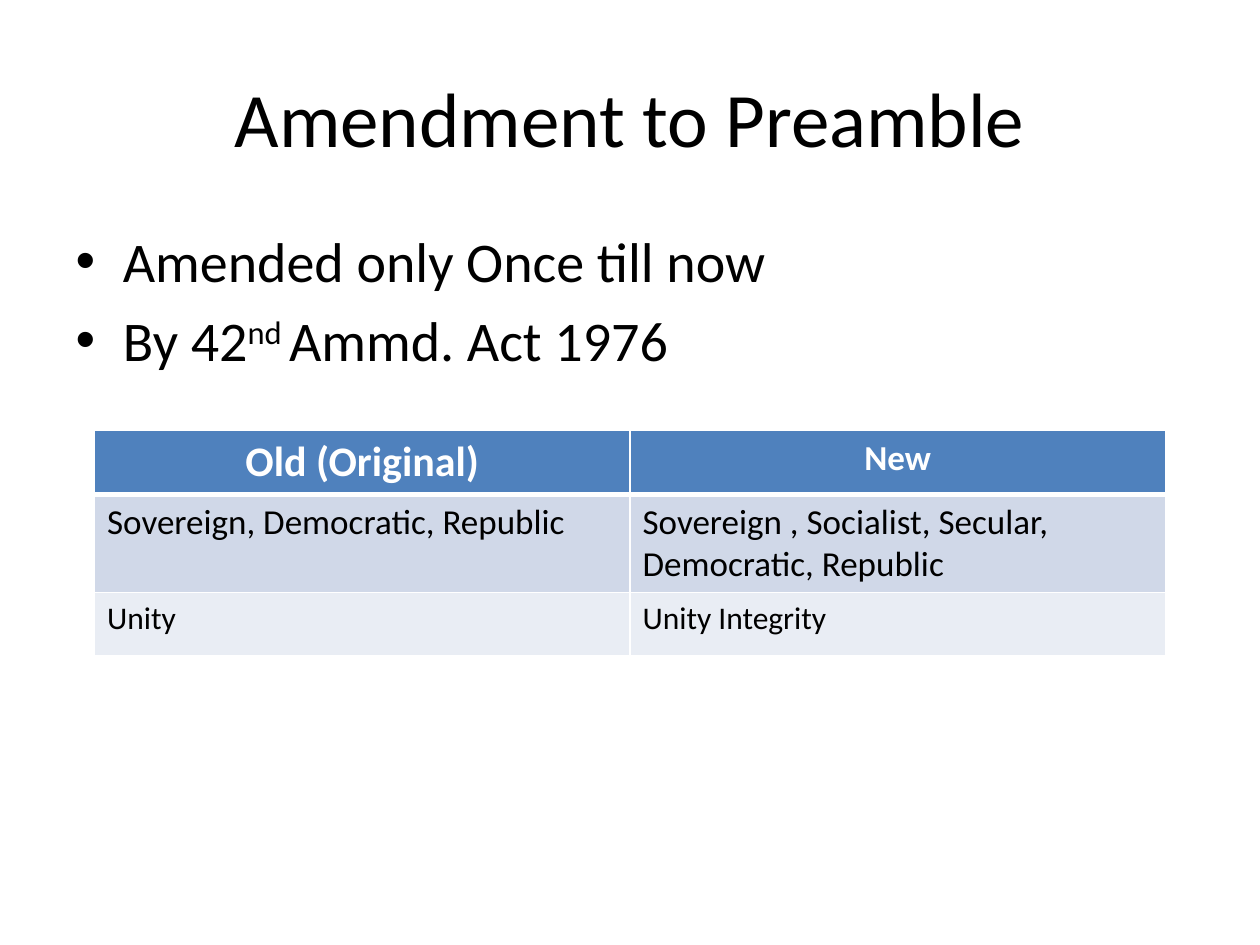
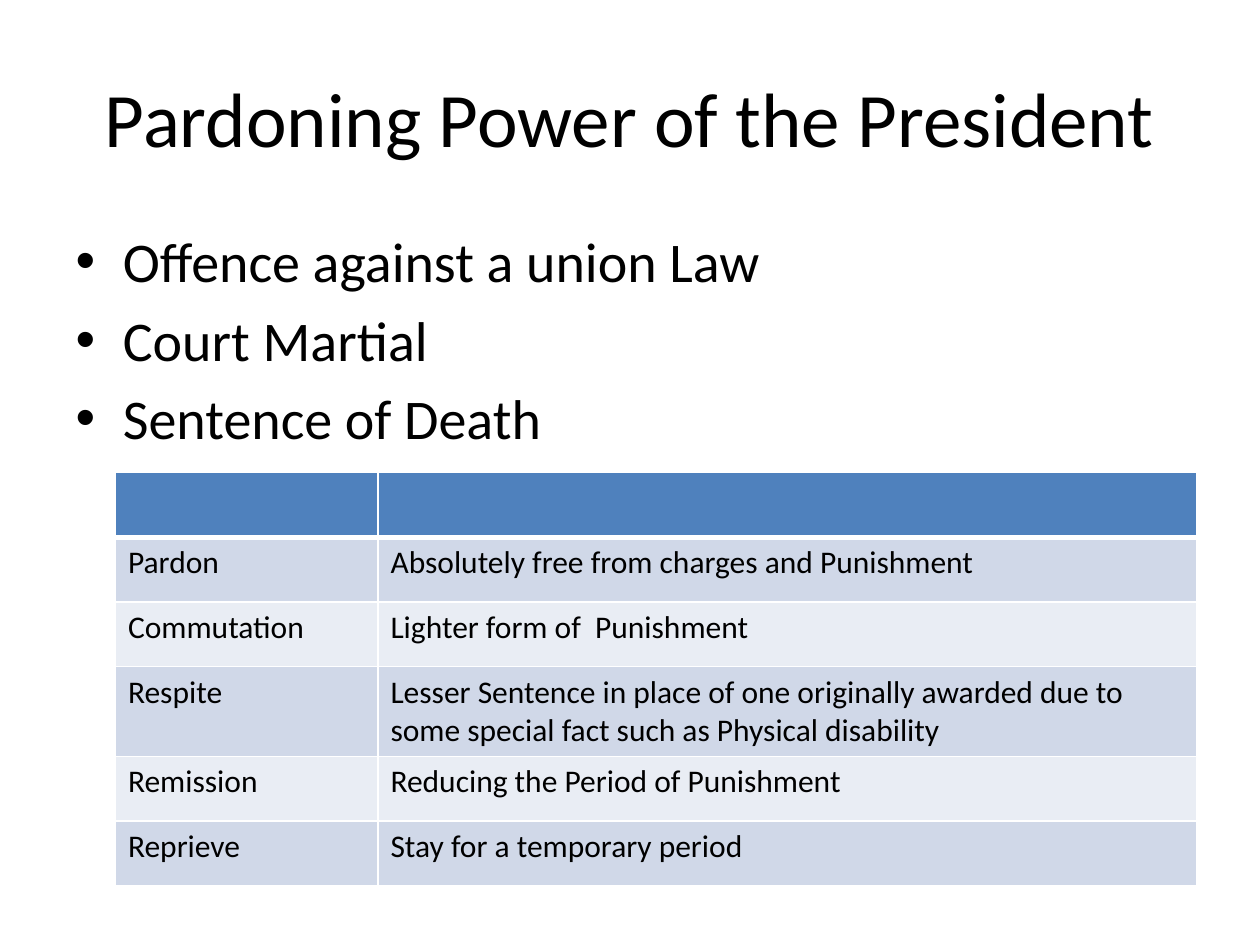
"""Build two slides on the Preamble amendment and the President's pardoning power."""
from dataclasses import dataclass
from typing import Optional

from lxml.etree import SubElement
from pptx import Presentation
from pptx.dml.color import RGBColor
from pptx.enum.text import MSO_ANCHOR as Anchor, PP_ALIGN as Align
from pptx.oxml.ns import qn
from pptx.util import Pt

FONT = "Calibri"
BLACK, WHITE = "000000", "FFFFFF"
HEADER, BANDS = "4F81BD", ("D0D8E8", "E9EDF4")
TITLE_BOX = (36, 21.6, 648, 90)
BODY_BOX = (36, 126, 648, 356.4)
SUPERSCRIPT = 30000


@dataclass(frozen=True)
class Run:
    text: str
    baseline: Optional[int] = None


@dataclass(frozen=True)
class Row:
    cells: tuple[str, ...]
    sizes: tuple[float, ...] = (18, 18)


@dataclass(frozen=True)
class Grid:
    left: float
    top: float
    widths: tuple[float, ...]
    row_height: float
    rows: tuple[Row, ...]


@dataclass(frozen=True)
class Page:
    title: str
    bullets: tuple[tuple[Run, ...], ...]
    grid: Grid


PAGES = (
    Page(
        "Amendment to Preamble",
        (
            (Run("Amended only Once till now"),),
            (Run("By 42"), Run("nd ", SUPERSCRIPT), Run("Ammd. Act 1976")),
        ),
        Grid(54, 246, (306, 306), 36, (
            Row(("Old (Original)", "New"), (24, 20)),
            Row(("Sovereign, Democratic, Republic",
                 "Sovereign , Socialist, Secular, Democratic, Republic"), (20, 20)),
            Row(("Unity", "Unity Integrity")),
        )),
    ),
    Page(
        "Pardoning Power of the President",
        (
            (Run("Offence against a union Law"),),
            (Run("Court Martial"),),
            (Run("Sentence of Death"),),
        ),
        Grid(66, 270, (150, 468), 37, (
            Row(("", "")),
            Row(("Pardon", "Absolutely free from charges and Punishment")),
            Row(("Commutation", "Lighter form of  Punishment")),
            Row(("Respite", "Lesser Sentence in place of one originally awarded "
                            "due to some special fact such as Physical disability")),
            Row(("Remission", "Reducing the Period of Punishment")),
            Row(("Reprieve", "Stay for a temporary period")),
        )),
    ),
)


def rgb(color: str) -> RGBColor:
    return RGBColor.from_string(color)


def add_text(p, text: str, *, size: float, color: str = BLACK, bold: bool = False,
             align: Align = Align.LEFT, baseline: Optional[int] = None) -> None:
    p.alignment = align
    r = p.add_run()
    r.text = text
    r.font.name, r.font.size, r.font.bold = FONT, Pt(size), bold
    r.font.color.rgb = rgb(color)
    if baseline is not None:
        r._r.get_or_add_rPr().set("baseline", str(baseline))


def place(sp, box: tuple[float, ...]) -> None:
    sp.left, sp.top, sp.width, sp.height = map(Pt, box)


def add_title(slide, text: str) -> None:
    sp = slide.shapes.title
    place(sp, TITLE_BOX)
    tf = sp.text_frame
    tf.vertical_anchor = Anchor.MIDDLE
    add_text(tf.paragraphs[0], text, size=44, align=Align.CENTER)


def add_bullets(slide, bullets: tuple[tuple[Run, ...], ...]) -> None:
    sp = slide.placeholders[1]
    place(sp, BODY_BOX)
    tf = sp.text_frame
    for i, runs in enumerate(bullets):
        p = tf.add_paragraph() if i else tf.paragraphs[0]
        if i == 0:
            p.space_before = Pt(0)
        for run in runs:
            add_text(p, run.text, size=32, baseline=run.baseline)


def add_borders(cell, bottom: float, top: float) -> None:
    tc_pr = cell._tc.get_or_add_tcPr()
    for side, width in zip("LRTB", (1, 1, top, bottom)):
        ln = SubElement(tc_pr, qn(f"a:ln{side}"), w=str(Pt(width)))
        SubElement(SubElement(ln, qn("a:solidFill")), qn("a:srgbClr"), val=WHITE)


def add_grid(slide, grid: Grid) -> None:
    n = len(grid.rows)
    table = slide.shapes.add_table(
        n, len(grid.widths), Pt(grid.left), Pt(grid.top),
        Pt(sum(grid.widths)), Pt(n * grid.row_height)).table
    for column, width in zip(table.columns, grid.widths):
        column.width = Pt(width)
    for i, row in enumerate(grid.rows):
        table.rows[i].height = Pt(grid.row_height)
        header = i == 0
        for j, (text, size) in enumerate(zip(row.cells, row.sizes)):
            cell = table.cell(i, j)
            add_borders(cell, bottom=3 if header else 1, top=3 if i == 1 else 1)
            cell.fill.solid()
            cell.fill.fore_color.rgb = rgb(HEADER if header else BANDS[(i - 1) % 2])
            if text:
                add_text(cell.text_frame.paragraphs[0], text, size=size, bold=header,
                         color=WHITE if header else BLACK,
                         align=Align.CENTER if header else Align.LEFT)


def main() -> None:
    prs = Presentation()
    prs.slide_width, prs.slide_height = Pt(720), Pt(540)
    for page in PAGES:
        slide = prs.slides.add_slide(prs.slide_layouts[1])
        add_title(slide, page.title)
        add_bullets(slide, page.bullets)
        add_grid(slide, page.grid)
    prs.save("out.pptx")


if __name__ == "__main__":
    main()
